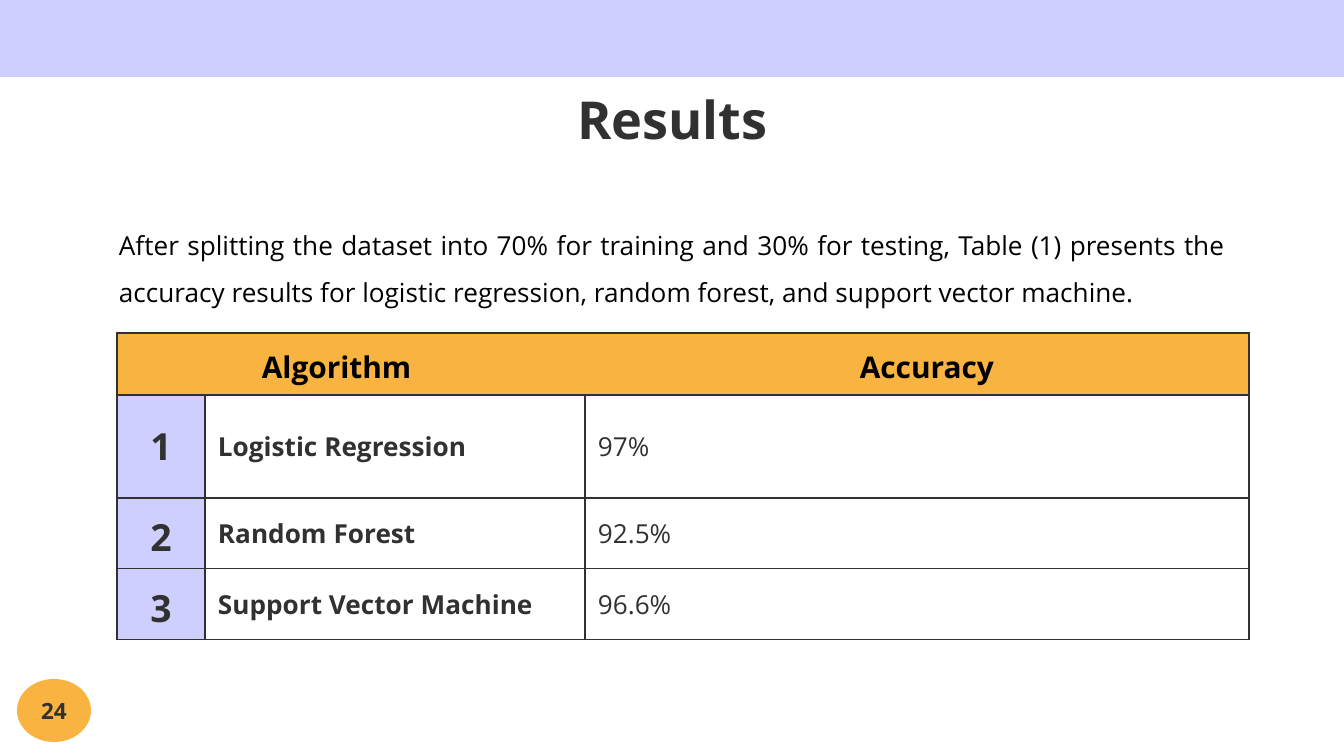
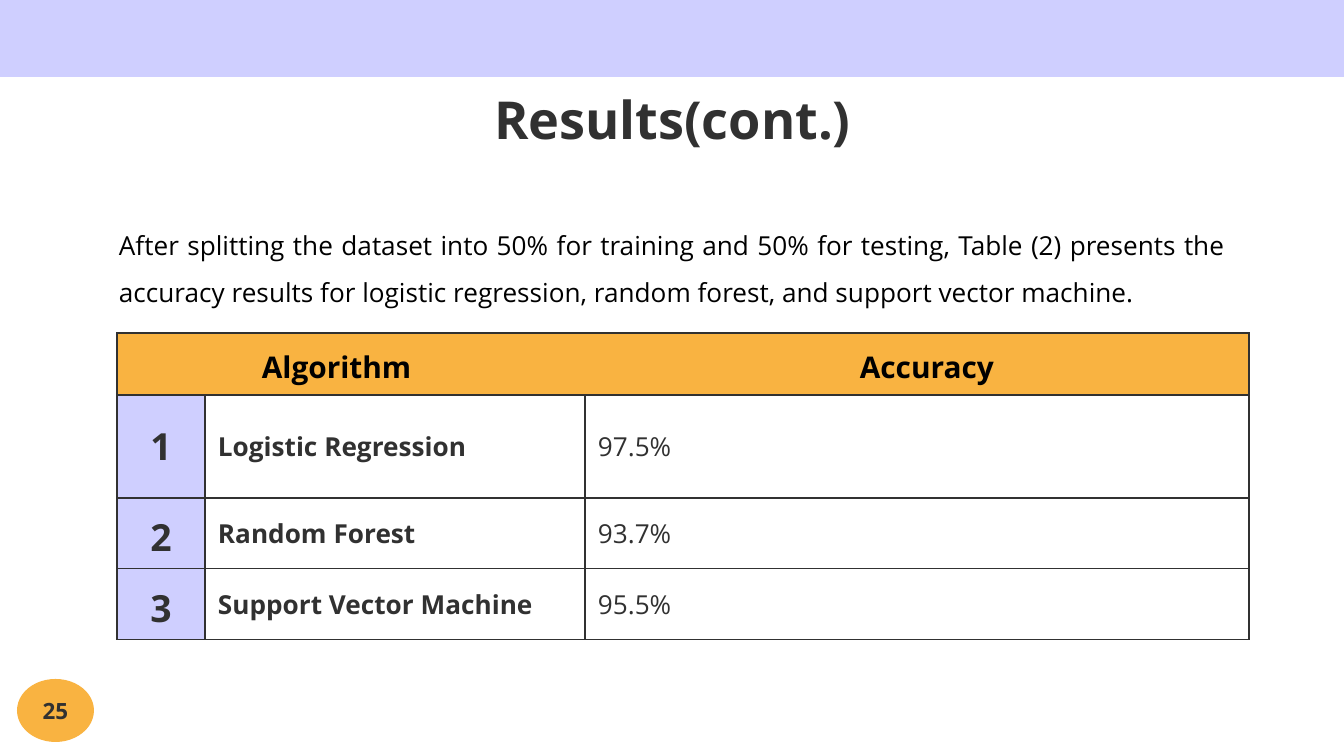
"""Build two results slides, each with a table of model accuracies."""
from lxml.etree import SubElement
from pptx import Presentation
from pptx.dml.color import RGBColor
from pptx.enum.shapes import MSO_SHAPE
from pptx.enum.text import MSO_ANCHOR, PP_ALIGN
from pptx.oxml.ns import qn
from pptx.util import Emu, Pt

ALGORITHMS = ["Logistic Regression", "Random Forest", "Support Vector Machine"]
INTRO = (
    "After splitting the dataset into {train}% for training and {test}% for testing, "
    "Table ({number}) presents the accuracy results for logistic regression, "
    "random forest, and support vector machine."
)
RESULTS = [
    {"title": "Results", "page": "24", "badge_width": 74,
     "split": {"train": 70, "test": 30, "number": 1},
     "accuracies": ["97%", "92.5%", "96.6%"]},
    {"title": "Results(cont.)", "page": "25", "badge_width": 77,
     "split": {"train": 50, "test": 50, "number": 2},
     "accuracies": ["97.5%", "93.7%", "95.5%"]},
]

LAVENDER, ORANGE, INK, BLACK = "CFCFFF", "F9B341", "313131", "000000"
FONT = "Open Sans"
SLIDE_WIDTH, SLIDE_HEIGHT = 1344, 756
PAD = 13
HEADINGS = [("Algorithm", 132), ("Accuracy", 730)]
HEADER_HEIGHT, HEADER_BOTTOM = 62, 7
COLUMN_WIDTHS = [88, 380, 664]
ROW_HEIGHTS = [103, 71, 71]
NUMBER_BOTTOMS = [PAD, 6, 6]


def px(length):
    return Emu(round(length * 914400 / 134.4))


def color(value):
    return RGBColor.from_string(value)


def write(frame, text, size=14, ink=INK, bold=False, align=PP_ALIGN.LEFT, spacing=None):
    paragraph = frame.paragraphs[0]
    paragraph.alignment = align
    if spacing:
        paragraph.line_spacing = spacing
    run = paragraph.add_run()
    run.text = text
    run.font.name = FONT
    run.font.size = Pt(size)
    run.font.bold = bold
    run.font.color.rgb = color(ink)
    return paragraph


def add_text(slide, box, text, pad_y, **style):
    frame = slide.shapes.add_textbox(*map(px, box)).text_frame
    frame.word_wrap = True
    frame.margin_left = frame.margin_right = px(PAD)
    frame.margin_top = frame.margin_bottom = px(pad_y)
    write(frame, text, **style)


def add_filled(slide, kind, box, fill):
    shape = slide.shapes.add_shape(kind, *map(px, box))
    shape.shadow.inherit = False
    shape.fill.solid()
    shape.fill.fore_color.rgb = color(fill)
    shape.line.fill.background()
    return shape


def style_cell(cell, fill=None, bottom=PAD):
    cell.vertical_anchor = MSO_ANCHOR.MIDDLE
    cell.margin_left = cell.margin_right = cell.margin_top = px(PAD)
    cell.margin_bottom = px(bottom)
    properties = cell._tc.get_or_add_tcPr()
    for edge in ("lnL", "lnR", "lnT", "lnB"):
        line = SubElement(properties, qn(f"a:{edge}"), w=str(Pt(0.75)))
        SubElement(SubElement(line, qn("a:solidFill")), qn("a:srgbClr"), val=INK)
    if fill:
        cell.fill.solid()
        cell.fill.fore_color.rgb = color(fill)
    else:
        cell.fill.background()


def add_header(table):
    for cell in table.rows[0].cells:
        style_cell(cell, ORANGE, HEADER_BOTTOM)
    header = table.cell(0, 0)
    header.merge(table.cell(0, len(COLUMN_WIDTHS) - 1))
    text = "".join(f"\t{heading}" for heading, _ in HEADINGS)
    paragraph = write(header.text_frame, text, size=16, ink=BLACK, bold=True)
    tabs = SubElement(paragraph._p.get_or_add_pPr(), qn("a:tabLst"))
    for _, position in HEADINGS:
        SubElement(tabs, qn("a:tab"), pos=str(px(position)), algn="l")


def add_accuracy_table(slide, accuracies):
    heights = [HEADER_HEIGHT, *ROW_HEIGHTS]
    box = (117, 333, sum(COLUMN_WIDTHS), sum(heights))
    table = slide.shapes.add_table(len(heights), len(COLUMN_WIDTHS), *map(px, box)).table
    table.first_row = table.horz_banding = False
    for column, width in zip(table.columns, COLUMN_WIDTHS):
        column.width = px(width)
    for row, height in zip(table.rows, heights):
        row.height = px(height)
    add_header(table)
    for rank, (algorithm, accuracy, bottom) in enumerate(
            zip(ALGORITHMS, accuracies, NUMBER_BOTTOMS), start=1):
        number, name, score = table.rows[rank].cells
        style_cell(number, LAVENDER, bottom)
        style_cell(name)
        style_cell(score)
        write(number.text_frame, str(rank), size=20, bold=True, align=PP_ALIGN.CENTER)
        write(name.text_frame, algorithm, bold=True)
        write(score.text_frame, accuracy)


def add_page_badge(slide, page, width):
    badge = add_filled(slide, MSO_SHAPE.FLOWCHART_CONNECTOR, (17, 679, width, 63), ORANGE)
    frame = badge.text_frame
    frame.margin_left = frame.margin_right = frame.margin_top = frame.margin_bottom = 0
    frame.vertical_anchor = MSO_ANCHOR.MIDDLE
    write(frame, page, size=12, bold=True, align=PP_ALIGN.CENTER)


def add_results_slide(deck, result):
    slide = deck.slides.add_slide(deck.slide_layouts[6])
    add_text(slide, (106, 74, 1133, 87), result["title"], PAD,
             size=28, bold=True, align=PP_ALIGN.CENTER)
    add_text(slide, (106, 207, 1133, 103), INTRO.format(**result["split"]), 7,
             ink=BLACK, align=PP_ALIGN.JUSTIFY, spacing=1.5)
    add_accuracy_table(slide, result["accuracies"])
    add_filled(slide, MSO_SHAPE.RECTANGLE, (0, 0, SLIDE_WIDTH, 77), LAVENDER)
    add_page_badge(slide, result["page"], result["badge_width"])


def main():
    deck = Presentation()
    deck.slide_width, deck.slide_height = px(SLIDE_WIDTH), px(SLIDE_HEIGHT)
    for result in RESULTS:
        add_results_slide(deck, result)
    deck.save("out.pptx")


if __name__ == "__main__":
    main()
